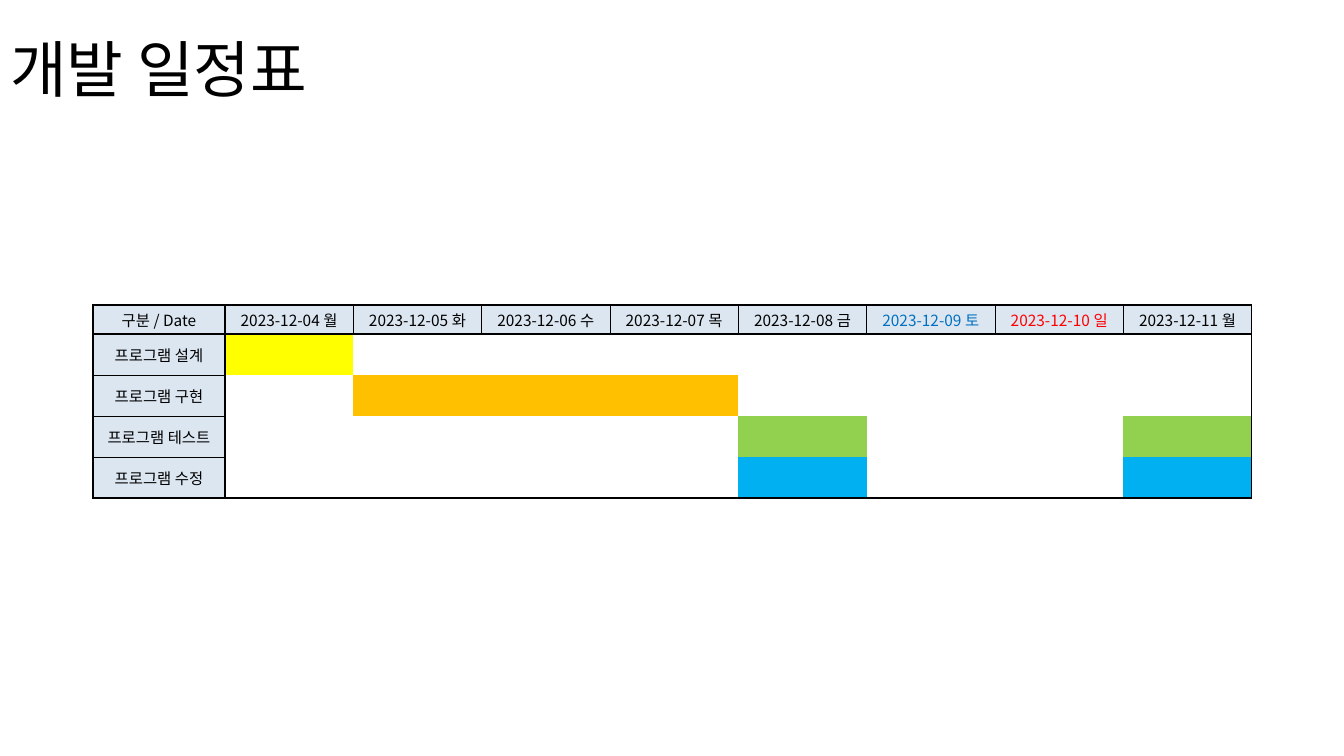
from lxml import etree
from pptx import Presentation
from pptx.dml.color import RGBColor
from pptx.enum.text import MSO_ANCHOR, MSO_AUTO_SIZE, PP_ALIGN
from pptx.oxml.ns import qn
from pptx.util import Pt

LEFT, CENTER = PP_ALIGN.LEFT, PP_ALIGN.CENTER
MIDDLE = MSO_ANCHOR.MIDDLE
NO_FIT = MSO_AUTO_SIZE.NONE
EMU_PER_PX = 914400 / 100.8
FONT = "Noto Sans CJK KR"
COLORS = {
    "black": "000000", "header": "DCE6F1", "saturday": "0070C0", "sunday": "FF0000",
    "design": "FFFF00", "build": "FFC000", "test": "92D050", "fix": "00B0F0",
}
HEADINGS = [
    "구분 / Date", "2023-12-04 월", "2023-12-05 화", "2023-12-06 수", "2023-12-07 목",
    "2023-12-08 금", "2023-12-09 토", "2023-12-10 일", "2023-12-11 월",
]
HEADING_COLORS = {6: "saturday", 7: "sunday"}
TASKS = [
    ("프로그램 설계", "design", [1]),
    ("프로그램 구현", "build", [2, 3, 4]),
    ("프로그램 테스트", "test", [5, 8]),
    ("프로그램 수정", "fix", [5, 8]),
]


def px(n):
    return round(n * EMU_PER_PX)


class Deck:
    """Holds the slide style and draws each kind of element."""

    def __init__(self, width, height):
        self.prs = Presentation()
        self.prs.slide_width, self.prs.slide_height = px(width), px(height)
        self.s = self.prs.slides.add_slide(self.prs.slide_layouts[5])

    def style(self, p, size, align, color="black"):
        p.alignment = align
        p.font.size = Pt(size)
        p.font.name = FONT
        p.font.color.rgb = RGBColor.from_string(COLORS[color])
        props = p._p.pPr.find(qn("a:defRPr"))
        etree.SubElement(props, qn("a:ea"), typeface=FONT)

    def title(self, text, x, y, w, h):
        sp = self.s.shapes.title
        sp.left, sp.top, sp.width, sp.height = map(px, (x, y, w, h))
        tf = sp.text_frame
        tf.text = text
        tf.auto_size = NO_FIT
        tf.vertical_anchor = MIDDLE
        p = tf.paragraphs[0]
        p.line_spacing = 0.9
        self.style(p, 44, LEFT)

    def border(self, cell, side, points):
        ln = etree.SubElement(cell._tc.get_or_add_tcPr(), qn("a:ln" + side))
        if points:
            ln.set("w", str(Pt(points)))
            fill = etree.SubElement(ln, qn("a:solidFill"))
            etree.SubElement(fill, qn("a:srgbClr"), val=COLORS["black"])
        else:
            etree.SubElement(ln, qn("a:noFill"))

    def cell(self, cell, text, fill, color, borders):
        cell.text = text
        cell.vertical_anchor = MIDDLE
        cell.margin_left = cell.margin_right = cell.margin_top = px(1)
        cell.margin_bottom = 0
        self.style(cell.text_frame.paragraphs[0], 11, CENTER, color)
        for side, points in borders.items():
            self.border(cell, side, points)
        if fill:
            cell.fill.solid()
            cell.fill.fore_color.rgb = RGBColor.from_string(COLORS[fill])
        else:
            cell.fill.background()

    def schedule(self, x, y, w, label_w, header_h, row_h):
        rows, cols = len(TASKS) + 1, len(HEADINGS)
        h = header_h + row_h * len(TASKS)
        frame = self.s.shapes.add_table(rows, cols, px(x), px(y), px(w), px(h))
        table = frame.table
        table.first_row = table.horz_banding = False
        for c, column in enumerate(table.columns):
            column.width = px((w - label_w) / (cols - 1) if c else label_w)
        for r, row in enumerate(table.rows):
            row.height = px(row_h if r else header_h)

        def line(edge, last, in_header):
            return 1 if edge in (0, 1, last) else 0.5 if in_header else 0

        for r in range(rows):
            label, bar, days = TASKS[r - 1] if r else ("", None, [])
            for c in range(cols):
                text = (label if c == 0 else "") if r else HEADINGS[c]
                fill = "header" if r == 0 or c == 0 else bar if c in days else None
                color = "black" if r else HEADING_COLORS.get(c, "black")
                borders = {
                    "L": line(c, cols, r == 0), "R": line(c + 1, cols, r == 0),
                    "T": line(r, rows, c == 0), "B": line(r + 1, rows, c == 0),
                }
                self.cell(table.cell(r, c), text, fill, color, borders)


def main():
    deck = Deck(1344, 756)
    deck.title("개발 일정표", 0, 0, 1159, 146)
    deck.schedule(93, 305, 1159, 132, 29, 41)
    deck.prs.save("out.pptx")


if __name__ == "__main__":
    main()
